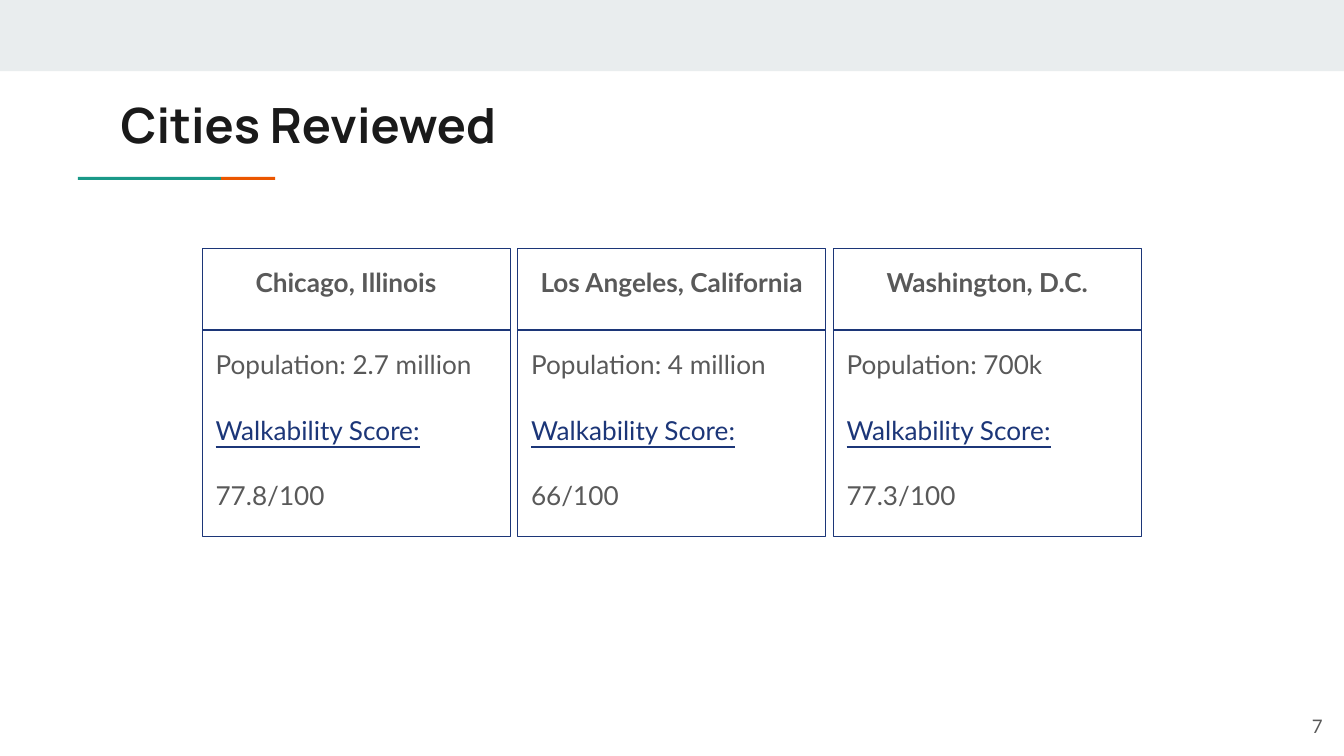
from pptx import Presentation
from pptx.dml.color import RGBColor
from pptx.enum.shapes import MSO_SHAPE as Shape
from pptx.enum.text import MSO_ANCHOR as Anchor, PP_ALIGN as Align
from pptx.util import Pt

BAND = RGBColor(0xE9, 0xED, 0xEE)
TEAL = RGBColor(0x1A, 0x99, 0x88)
ORANGE = RGBColor(0xEB, 0x56, 0x00)
INK = RGBColor(0x1A, 0x1A, 0x1A)
GRAY = RGBColor(0x59, 0x59, 0x59)
NAVY = RGBColor(0x1C, 0x36, 0x78)

INSET = Pt(7.2)
CARD_LEFT, CARD_PITCH, CARD_WIDTH = 108.4, 169, 165
NAME_TOP, NAME_HEIGHT = 133.2, 43.6
FACTS_TOP, FACTS_HEIGHT = 176.8, 110.8

CITIES = [
    ("Chicago, Illinois\t", "2.7 million", "77.8/100"),
    ("Los Angeles, California", "4 million", "66/100"),
    ("Washington, D.C.", "700k", "77.3/100"),
]


def add_bar(slide, left, top, width, height, color):
    """Add a filled rectangle without an outline."""
    bar = slide.shapes.add_shape(
        Shape.RECTANGLE, Pt(left), Pt(top), Pt(width), Pt(height))
    bar.shadow.inherit = False
    bar.fill.solid()
    bar.fill.fore_color.rgb = color
    bar.line.fill.background()


def prepare_frame(frame, text, anchor=Anchor.TOP):
    """Set the text, wrapping, insets and anchor of a text frame."""
    frame.text = text
    frame.word_wrap = True
    frame.vertical_anchor = anchor
    frame.margin_left = frame.margin_right = INSET
    frame.margin_top = frame.margin_bottom = INSET


def format_paragraph(paragraph, size, color, name="Lato", bold=False,
                     align=Align.LEFT):
    """Set the alignment of a paragraph and the font of its runs."""
    paragraph.alignment = align
    for run in paragraph.runs:
        run.font.name = name
        run.font.size = Pt(size)
        run.font.bold = bold
        run.font.color.rgb = color


def add_label(slide, left, top, width, height, text, anchor, **style):
    """Add a text box with one formatted paragraph."""
    label = slide.shapes.add_textbox(Pt(left), Pt(top), Pt(width), Pt(height))
    prepare_frame(label.text_frame, text, anchor)
    format_paragraph(label.text_frame.paragraphs[0], **style)


def add_outlined_box(slide, left, top, height, text):
    """Add an outlined card section and return its paragraphs."""
    box = slide.shapes.add_shape(
        Shape.RECTANGLE, Pt(left), Pt(top), Pt(CARD_WIDTH), Pt(height))
    box.shadow.inherit = False
    box.fill.background()
    box.line.color.rgb = NAVY
    box.line.width = Pt(0.75)
    prepare_frame(box.text_frame, text)
    paragraphs = box.text_frame.paragraphs
    for paragraph in paragraphs:
        paragraph.line_spacing = 1.15
    paragraphs[-1].space_after = Pt(16)
    return paragraphs


def add_city_card(slide, left, city, population, score):
    """Add the name and the facts of one city."""
    facts = add_outlined_box(
        slide, left, FACTS_TOP, FACTS_HEIGHT,
        f"Population: {population}\nWalkability Score:\n{score}")
    for fact, color in zip(facts, (GRAY, NAVY, GRAY)):
        format_paragraph(fact, 14, color)
    for fact in facts[1:]:
        fact.space_before = Pt(16)
    facts[1].runs[0].font.underline = True

    heading = add_outlined_box(slide, left, NAME_TOP, NAME_HEIGHT, city)
    format_paragraph(heading[0], 14, GRAY, bold=True, align=Align.CENTER)


def main():
    """Build the slide of reviewed cities and save it."""
    deck = Presentation()
    deck.slide_width, deck.slide_height = Pt(720), Pt(405)
    slide = deck.slides.add_slide(deck.slide_layouts[6])

    add_bar(slide, 0, 0, 720, 38.2, BAND)
    add_bar(slide, 118.4, 94.8, 29, 1.6, ORANGE)
    add_bar(slide, 41.8, 94.8, 76.6, 1.6, TEAL)
    add_label(slide, 57.6, 43.9, 605.5, 42.5, "Cities Reviewed", Anchor.TOP,
              size=26, color=INK, name="Manrope", bold=True)
    for column, city in enumerate(CITIES):
        add_city_card(slide, CARD_LEFT + column * CARD_PITCH, *city)
    add_label(slide, 672.5, 373.7, 43.2, 31, "7", Anchor.MIDDLE,
              size=10, color=GRAY, align=Align.RIGHT)

    deck.save("out.pptx")


if __name__ == "__main__":
    main()
